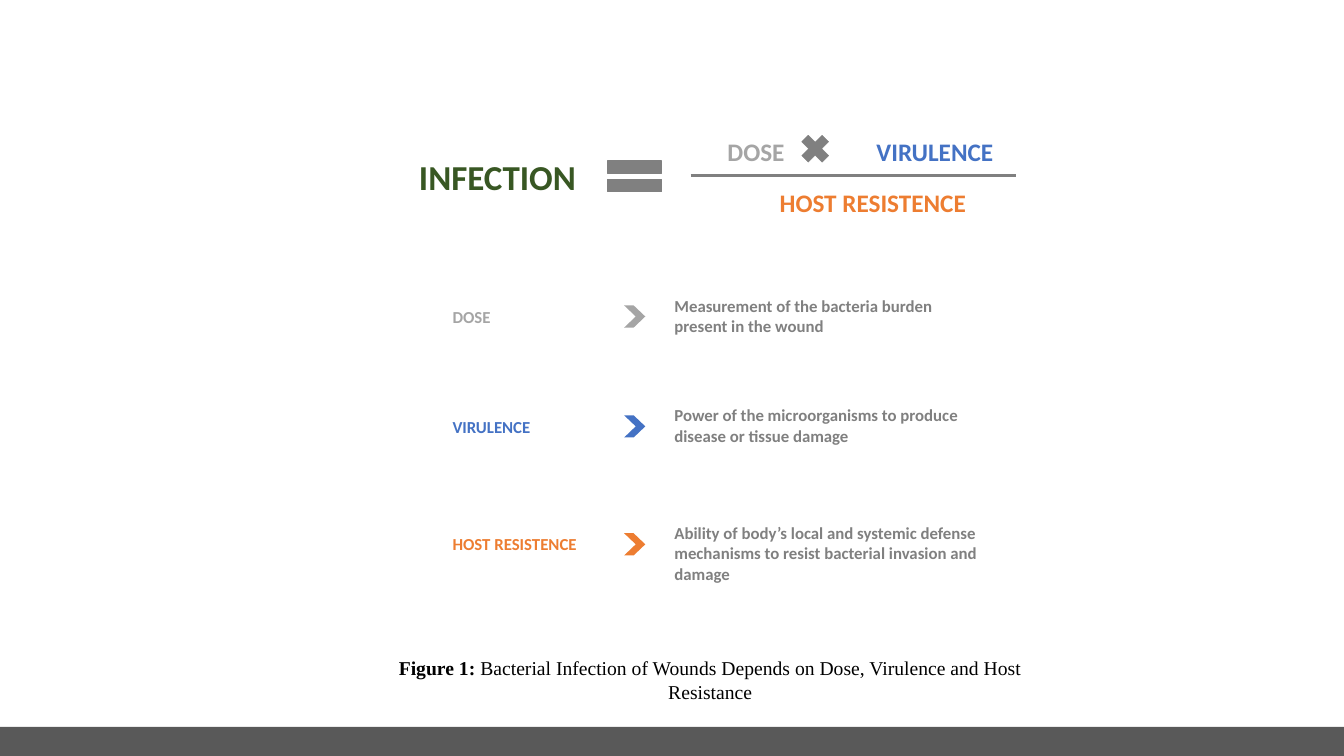
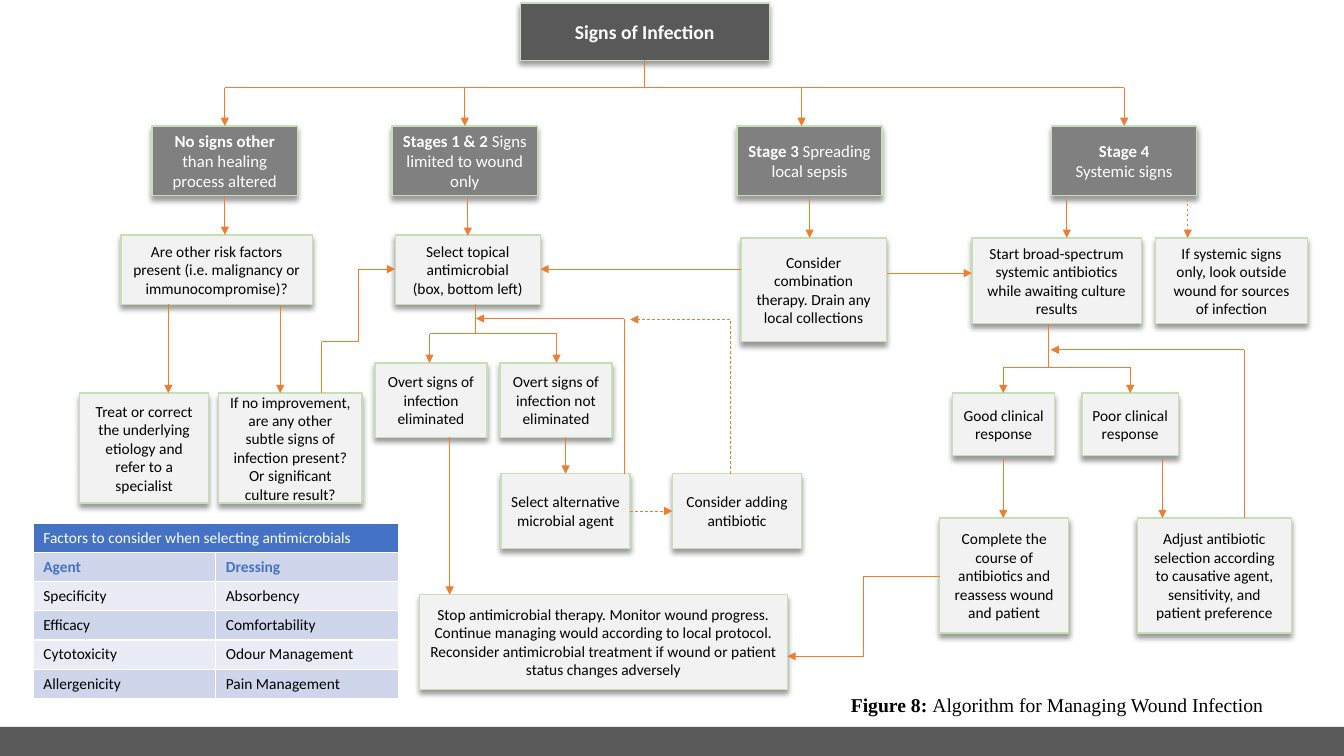
from lxml import etree
from pptx import Presentation
from pptx.dml.color import RGBColor
from pptx.enum.dml import MSO_LINE
from pptx.enum.shapes import MSO_CONNECTOR, MSO_SHAPE
from pptx.enum.text import MSO_ANCHOR, PP_ALIGN
from pptx.oxml import parse_xml
from pptx.oxml.ns import nsdecls, qn
from pptx.util import Inches, Pt

RECT, CHEVRON = MSO_SHAPE.RECTANGLE, MSO_SHAPE.CHEVRON
TIMES_SIGN, EQUAL_SIGN = MSO_SHAPE.MATH_MULTIPLY, MSO_SHAPE.MATH_EQUAL
STRAIGHT, ELBOW = MSO_CONNECTOR.STRAIGHT, MSO_CONNECTOR.ELBOW
DASH = MSO_LINE.DASH
LEFT, CENTER, RIGHT = PP_ALIGN.LEFT, PP_ALIGN.CENTER, PP_ALIGN.RIGHT
MIDDLE = MSO_ANCHOR.MIDDLE

WHITE = RGBColor(0xFF, 0xFF, 0xFF)
BLACK = RGBColor(0x00, 0x00, 0x00)
CHARCOAL = RGBColor(0x59, 0x59, 0x59)
GRAY = RGBColor(0x80, 0x80, 0x80)
SILVER = RGBColor(0xA5, 0xA5, 0xA5)
PALE = RGBColor(0xF2, 0xF2, 0xF2)
BLUE = RGBColor(0x44, 0x72, 0xC4)
ORANGE = RGBColor(0xED, 0x7D, 0x31)
GREEN = RGBColor(0x38, 0x57, 0x23)
MINT = RGBColor(0xC5, 0xE0, 0xB4)
ROW_DARK = RGBColor(0xCF, 0xD5, 0xEA)
ROW_LIGHT = RGBColor(0xE9, 0xEB, 0xF5)

BODY_FONT, CAPTION_FONT = "Calibri", "Times New Roman"

FORMULA = [
    ("DOSE", (6.22, 1.3, 1.66, 0.4), 18, SILVER),
    ("VIRULENCE", (8.29, 1.3, 1.66, 0.4), 18, BLUE),
    ("HOST RESISTENCE", (6.85, 1.81, 2.83, 0.4), 18, ORANGE),
    ("INFECTION", (4.03, 1.49, 1.78, 0.52), 25, GREEN),
]
OPERATORS = [
    (TIMES_SIGN, (7.89, 1.28, 0.39, 0.39), 0.25),
    (EQUAL_SIGN, (5.93, 1.49, 0.73, 0.52), 1),
]
DEFINITIONS = [
    (3.03, "DOSE", "Measurement of the bacteria burden present in the wound", SILVER),
    (4.12, "VIRULENCE",
     "Power of the microorganisms to produce disease or tissue damage", BLUE),
    (5.29, "HOST RESISTENCE",
     "Ability of body’s local and systemic defense mechanisms to resist "
     "bacterial invasion and damage", ORANGE),
]
FORMULA_CAPTION = (
    "Figure 1: ",
    "Bacterial Infection of Wounds Depends on Dose, Virulence and Host Resistance")
ALGORITHM_CAPTION = ("Figure 8: ", "Algorithm for Managing Wound Infection")

STAGE_TOP, STAGE_WIDTH, STAGE_HEIGHT = 1.25, 1.44, 0.69
STAGES = [
    (1.51, [("No signs other ", "than healing process altered")]),
    (3.89, [("Stages 1 & 2 ", "Signs limited to wound only")]),
    (7.31, [("Stage 3 ", "Spreading local sepsis")]),
    (10.43, [("Stage 4", ""), ("", "Systemic signs")]),
]
STEPS = [
    ((1.2, 2.33, 1.9, 0.69),
     ["Are other risk factors present (i.e. malignancy or immunocompromise)?"]),
    ((3.92, 2.33, 1.44, 0.69), ["Select topical antimicrobial", "(box, bottom left)"]),
    ((7.35, 2.36, 1.44, 1.03),
     ["Consider combination therapy. Drain any local collections"]),
    ((9.64, 2.36, 1.68, 0.85),
     ["Start broad-spectrum systemic antibiotics while awaiting culture results"]),
    ((11.46, 2.36, 1.51, 0.85),
     ["If systemic signs only, look outside wound for sources of infection"]),
    ((0.79, 3.9, 1.28, 1.09),
     ["Treat or correct the underlying etiology and refer to a specialist"]),
    ((2.17, 3.9, 1.42, 1.09),
     ["If no improvement, are any other subtle signs of infection present? "
      "Or significant culture result?"]),
    ((3.72, 3.6, 1.11, 0.74), ["Overt signs of infection eliminated"]),
    ((4.96, 3.6, 1.11, 0.74), ["Overt signs of infection not eliminated"]),
    ((4.97, 4.7, 1.28, 0.74), ["Select alternative microbial agent"]),
    ((6.67, 4.7, 1.28, 0.74), ["Consider adding antibiotic"]),
    ((9.45, 3.9, 1.01, 0.62), ["Good clinical response"]),
    ((10.73, 3.9, 0.96, 0.62), ["Poor clinical response"]),
    ((9.32, 5.14, 1.28, 1.14),
     ["Complete the course of antibiotics and reassess wound and patient"]),
    ((11.28, 5.14, 1.53, 1.14),
     ["Adjust antibiotic selection according to causative agent, sensitivity, "
      "and patient preference"]),
    ((4.16, 5.9, 3.65, 0.94),
     ["Stop antimicrobial therapy. Monitor wound progress. Continue managing would "
      "according to local protocol. Reconsider antimicrobial treatment if wound or "
      "patient status changes adversely"]),
]
BRANCHES = [
    (6.39, 0.6, 0.87, (2.23, 4.61, 7.95, 11.15), 1.25),
    (4.71, 3.02, 3.31, (4.26, 5.52), 3.6),
    (10.4, 3.21, 3.64, (9.95, 11.21), 3.9),
]
DOWN_ARROWS = [
    (2.23, 1.94, 2.33), (4.64, 1.96, 2.34), (8.03, 1.97, 2.36), (10.58, 1.97, 2.36),
    (1.67, 3.02, 3.9), (2.78, 3.03, 3.9), (5.61, 4.34, 4.7), (4.46, 4.34, 5.9),
    (9.95, 4.55, 5.14), (11.53, 4.55, 5.14),
]
SIDE_ARROWS = [(8.8, 9.64, 2.71), (7.35, 5.36, 2.67)]
DASHED_ARROWS = [(11.78, 1.97, 11.78, 2.36), (6.25, 5.07, 6.67, 5.07)]
RETURN_LOOPS = [
    (6.19, 4.7, 3.16, 4.72, False),
    (7.24, 4.7, 3.17, 6.25, True),
    (12.34, 5.14, 3.47, 10.42, False),
]
ELBOW_ARROWS = [(3.19, 3.39, 3.92, 2.67), (9.32, 5.72, 7.81, 6.51)]

FACTORS_TITLE = "Factors to consider when selecting antimicrobials"
FACTORS = [
    ("Agent", "Dressing"),
    ("Specificity", "Absorbency"),
    ("Efficacy", "Comfortability"),
    ("Cytotoxicity", "Odour Management"),
    ("Allergenicity", "Pain Management"),
]


def inches(values):
    return [Inches(value) for value in values]


def write(frame, paragraphs, size, color, align=CENTER, font=BODY_FONT):
    for index, (lead, rest) in enumerate(paragraphs):
        paragraph = frame.add_paragraph() if index else frame.paragraphs[0]
        paragraph.alignment = align
        paragraph.font.size = Pt(size)
        paragraph.font.name = font
        paragraph.font.color.rgb = color
        for text, bold in ((lead, True), (rest, False)):
            if text:
                run = paragraph.add_run()
                run.text = text
                run.font.bold = bold


def add_label(slide, box, paragraph, size, color, align=LEFT, font=BODY_FONT, wrap=True):
    frame = slide.shapes.add_textbox(*inches(box)).text_frame
    frame.word_wrap = wrap
    write(frame, [paragraph], size, color, align, font)


def add_figure(slide, kind, box, fill, outline=None, width=1):
    figure = slide.shapes.add_shape(kind, *inches(box))
    figure.shadow.inherit = False
    figure.fill.solid()
    figure.fill.fore_color.rgb = fill
    if outline is None:
        figure.line.fill.background()
    else:
        figure.line.color.rgb = outline
        figure.line.width = Pt(width)
    return figure


def add_box(slide, box, paragraphs, fill, size, color):
    figure = add_figure(slide, RECT, box, fill, MINT)
    figure._element.spPr.find(qn("a:effectLst")).append(parse_xml(
        f'<a:outerShdw {nsdecls("a")} blurRad="{Pt(4)}" dist="{Pt(3)}" dir="5400000" '
        'rotWithShape="0"><a:srgbClr val="000000"><a:alpha val="40000"/></a:srgbClr>'
        '</a:outerShdw>'))
    figure.text_frame.vertical_anchor = MIDDLE
    write(figure.text_frame, paragraphs, size, color)


def add_line(slide, ends, color=ORANGE, width=0.5, arrow=False, dashed=False, kind=STRAIGHT):
    link = slide.shapes.add_connector(kind, *inches(ends))
    link.line.color.rgb = color
    link.line.width = Pt(width)
    if dashed:
        link.line.dash_style = DASH
    properties = link._element.spPr
    if arrow:
        etree.SubElement(properties.find(qn("a:ln")), qn("a:tailEnd"), type="triangle")
    etree.SubElement(properties, qn("a:effectLst"))


def add_slide(deck):
    slide = deck.slides.add_slide(deck.slide_layouts[6])
    add_figure(slide, RECT, (0, 7.21, 13.33, 0.29), CHARCOAL)
    return slide


def build_formula(slide):
    for text, box, size, color in FORMULA:
        add_label(slide, box, (text, ""), size, color, RIGHT, wrap=text != "INFECTION")
    for kind, box, width in OPERATORS:
        add_figure(slide, kind, box, GRAY, GRAY, width)
    add_line(slide, (6.85, 1.74, 10.08, 1.74), GRAY, 2.25)
    for top, term, meaning, color in DEFINITIONS:
        add_label(slide, (4.39, top - 0.04, 1.66, 0.31), (term, ""), 12, color)
        chevron = add_figure(slide, CHEVRON, (6.19, top, 0.21, 0.22), color)
        chevron.adjustments[0] = 0.55
        add_label(slide, (6.59, top - 0.15, 3.29, 0.5), (meaning, ""), 12, GRAY)
    add_label(slide, (3.71, 6.46, 6.67, 0.57), FORMULA_CAPTION, 14, BLACK,
              CENTER, CAPTION_FONT)


def add_flow_lines(slide):
    for trunk, top, bus, drops, bottom in BRANCHES:
        add_line(slide, (trunk, top, trunk, bus))
        add_line(slide, (drops[0], bus, drops[-1], bus))
        for x in drops:
            add_line(slide, (x, bus, x, bottom), arrow=True)
    for x, top, bottom in DOWN_ARROWS:
        add_line(slide, (x, top, x, bottom), arrow=True)
    for start, end, y in SIDE_ARROWS:
        add_line(slide, (start, y, end, y), arrow=True)
    for ends in DASHED_ARROWS:
        add_line(slide, ends, arrow=True, dashed=True)
    for x, bottom, top, end, dashed in RETURN_LOOPS:
        add_line(slide, (x, bottom, x, top), dashed=dashed)
        add_line(slide, (x, top, end, top), arrow=True, dashed=dashed)
    add_line(slide, (3.19, 3.9, 3.19, 3.39))
    for ends in ELBOW_ARROWS:
        add_line(slide, ends, arrow=True, kind=ELBOW)


def style_cell(cell, paragraph, fill, color):
    properties = cell._tc.get_or_add_tcPr()
    for side in ("lnL", "lnR", "lnT", "lnB"):
        properties.append(parse_xml(
            f'<a:{side} {nsdecls("a")} w="{Pt(1)}"><a:solidFill>'
            f'<a:srgbClr val="{WHITE}"/></a:solidFill></a:{side}>'))
    cell.fill.solid()
    cell.fill.fore_color.rgb = fill
    write(cell.text_frame, [paragraph], 11, color, LEFT)


def add_factors_table(slide):
    rows = len(FACTORS) + 1
    box = inches((0.33, 5.19, 3.62, 0.29 * rows))
    table = slide.shapes.add_table(rows, 2, *box).table
    table.cell(0, 0).merge(table.cell(0, 1))
    style_cell(table.cell(0, 0), ("", FACTORS_TITLE), BLUE, WHITE)
    for row, texts in enumerate(FACTORS, 1):
        fill = ROW_DARK if row % 2 else ROW_LIGHT
        for column, text in enumerate(texts):
            paragraph, color = ((text, ""), BLUE) if row == 1 else (("", text), BLACK)
            style_cell(table.cell(row, column), paragraph, fill, color)


def build_algorithm(slide):
    add_box(slide, (5.16, 0.03, 2.47, 0.57), [("Signs of Infection", "")],
            CHARCOAL, 14, WHITE)
    for left, paragraphs in STAGES:
        add_box(slide, (left, STAGE_TOP, STAGE_WIDTH, STAGE_HEIGHT), paragraphs,
                GRAY, 12, WHITE)
    for box, texts in STEPS:
        add_box(slide, box, [("", text) for text in texts], PALE, 11, BLACK)
    add_flow_lines(slide)
    add_factors_table(slide)
    add_label(slide, (8.34, 6.83, 4.31, 0.34), ALGORITHM_CAPTION, 14, BLACK,
              LEFT, CAPTION_FONT, wrap=False)


def main():
    deck = Presentation()
    deck.slide_width, deck.slide_height = inches((13.33, 7.5))
    build_formula(add_slide(deck))
    build_algorithm(add_slide(deck))
    deck.save("out.pptx")


if __name__ == "__main__":
    main()
